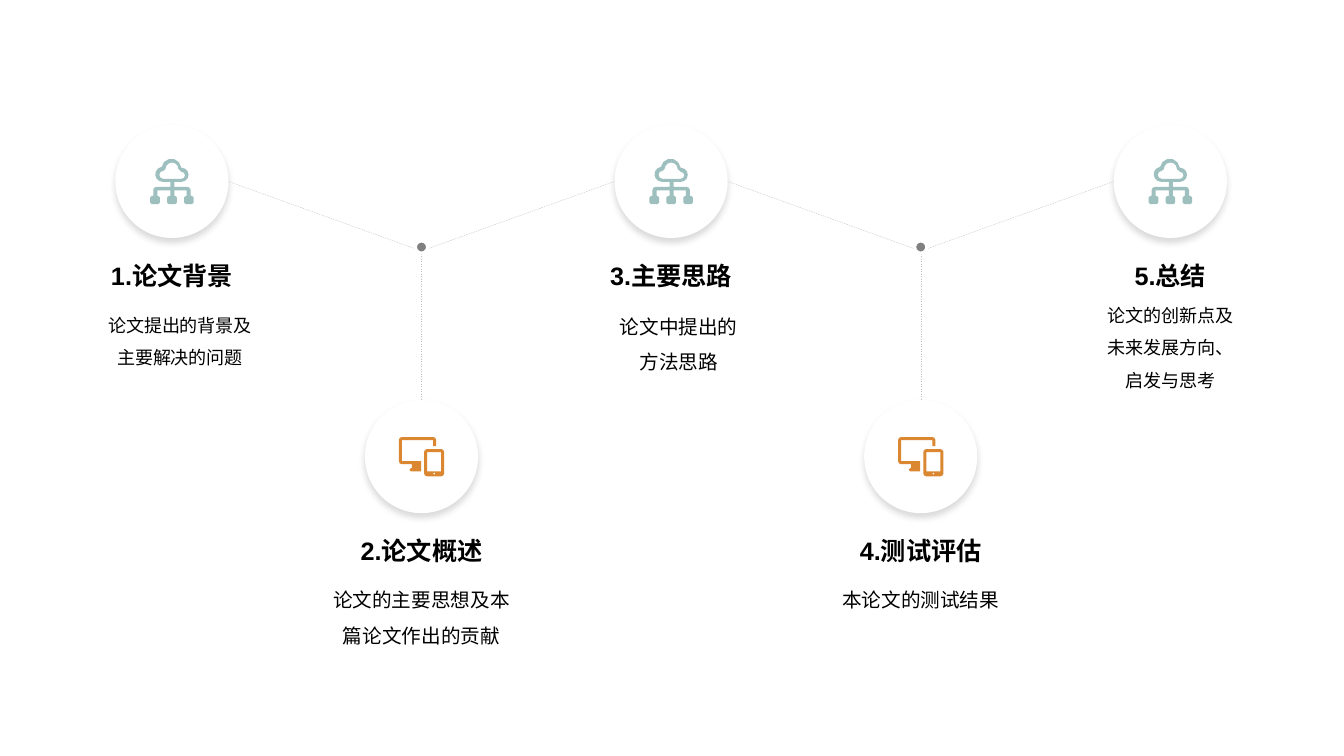
from dataclasses import dataclass
from math import cos, radians, sin

from lxml import etree
from pptx import Presentation
from pptx.dml.color import RGBColor
from pptx.enum.dml import MSO_LINE
from pptx.enum.shapes import MSO_CONNECTOR, MSO_SHAPE
from pptx.enum.text import MSO_ANCHOR, PP_ALIGN
from pptx.oxml.ns import qn
from pptx.util import Pt

Point = tuple[float, float]
Contour = list[Point]

STRAIGHT = MSO_CONNECTOR.STRAIGHT
OVAL = MSO_SHAPE.OVAL
JOINT_DOT = MSO_SHAPE.FLOWCHART_CONNECTOR
DASH = MSO_LINE.DASH
CENTER = PP_ALIGN.CENTER
TOP, BOTTOM = MSO_ANCHOR.TOP, MSO_ANCHOR.BOTTOM

COLORS = {
    "white": "FFFFFF",
    "text": "000000",
    "cloud": "9DBFBE",
    "screens": "DB8631",
    "line": "BFBFBF",
    "dot": "808080",
}
FONT = "Arial"

# Lengths in points
FIRST_X, STEP_X = 122.8, 178.3
UPPER_Y, LOWER_Y = 129.6, 326.2
RADIUS = 40.4
JOINT_Y, DOT_Y, DOT_SIZE = 179.3, 176.5, 8.8
TITLE_WIDTH, TITLE_HEIGHT, TITLE_DROP = 142, 30, 51.4
ICON_UNIT = 0.72


@dataclass(frozen=True)
class Step:
    title: str
    body: list[str]
    body_size: float = 14
    body_width: float = 142
    body_shift: float = 0
    body_drop: float = 82


STEPS = [
    Step("1.论文背景", ["论文提出的背景及", "主要解决的问题"], 12.9, 121, 5.8, 83.5),
    Step("2.论文概述", ["论文的主要思想及本篇论文作出的贡献"]),
    Step("3.主要思路", ["论文中提出的方法思路"], 14, 111.6, 5.4, 83.5),
    Step("4.测试评估", ["本论文的测试结果"]),
    Step("5.总结", ["论文的创新点及未来发展方向、启发与思考"], 12.9, 111.6, 0, 76.3),
]


@dataclass(frozen=True)
class Icon:
    """Contours in icon units, with the size of their bounding box."""
    color: str
    width: float
    height: float
    contours: list[Contour]


def arc(x: float, y: float, radius: float, start: float, end: float) -> Contour:
    """Points from start to end, in degrees clockwise from the right."""
    pitch = 30 if radius > 4 else 45 if radius > 2 else 90
    count = max(1, round(abs(end - start) / pitch))
    angles = [radians(start + (end - start) * i / count) for i in range(count + 1)]
    return [(x + radius * cos(a), y + radius * sin(a)) for a in angles]


def rounded_box(left: float, top: float, right: float, bottom: float, radius: float) -> Contour:
    corners = [
        (right - radius, top + radius, -90),
        (right - radius, bottom - radius, 0),
        (left + radius, bottom - radius, 90),
        (left + radius, top + radius, 180),
    ]
    return [point for x, y, start in corners for point in arc(x, y, radius, start, start + 90)]


CLOUD_AND_TREE = (
    arc(31, 16, 7, 90, -90)
    + arc(21, 9.7, 9.7, -8, -170)
    + arc(12.5, 15.5, 7.5, 260, 90)
    + [(20, 23), (20, 28)]
    + arc(6, 31, 3, 270, 180)
    + [(3, 37), (7, 37), (7, 31.5), (20, 31.5), (20, 37), (24, 37), (24, 31.5),
       (36, 31.5), (36, 37), (40, 37)]
    + arc(37, 31, 3, 0, -90)
    + [(24, 28), (24, 23)]
)
CLOUD_HOLE = arc(13, 16, 4, 90, 270) + arc(21.5, 10.3, 6.5, 180, 360) + arc(31, 16.5, 3.5, -90, 90)
NODES = [rounded_box(x, 37, x + 9.5, 45, 1.5) for x in (0, 16.8, 33.6)]
MONITOR = (
    [(37, 9), (34, 9), (34, 3), (3, 3), (3, 24), (22, 24), (22, 34)]
    + arc(12, 32.5, 1.5, 90, 270)
    + [(13, 31), (13, 27)]
    + arc(3, 24, 3, 90, 180)
    + arc(3, 3, 3, 180, 270)
    + arc(34, 3, 3, -90, 0)
)
TABLET_GLASS = [(28, 15), (42, 15), (42, 34), (28, 34)]
CLOUD_ICON = Icon("cloud", 43, 45, [CLOUD_AND_TREE, CLOUD_HOLE, *NODES])
SCREENS_ICON = Icon("screens", 45, 39, [
    MONITOR,
    rounded_box(25, 12, 45, 39, 3),
    TABLET_GLASS,
    arc(35, 36.3, 1.2, 0, 270),
])


def rgb(name: str) -> RGBColor:
    return RGBColor.from_string(COLORS[name])


def add_line(slide, start: Point, end: Point) -> None:
    line = slide.shapes.add_connector(STRAIGHT, *(Pt(value) for value in start + end))
    line.line.color.rgb = rgb("line")
    line.line.width = Pt(0.25)
    line.line.dash_style = DASH
    properties = line._element.find(qn("p:spPr"))
    etree.SubElement(properties, qn("a:effectLst"))


def add_disc(slide, kind, x: float, y: float, size: float, color: str):
    disc = slide.shapes.add_shape(kind, Pt(x - size / 2), Pt(y - size / 2), Pt(size), Pt(size))
    disc.shadow.inherit = False
    disc.fill.solid()
    disc.fill.fore_color.rgb = rgb(color)
    disc.line.fill.background()
    return disc


def add_soft_shadow(shape) -> None:
    effects = shape._element.spPr.find(qn("a:effectLst"))
    shadow = etree.SubElement(effects, qn("a:outerShdw"), blurRad=str(Pt(5)), dist=str(Pt(3)),
                              dir="5400000", algn="t", rotWithShape="0")
    color = etree.SubElement(shadow, qn("a:srgbClr"), val=COLORS["text"])
    etree.SubElement(color, qn("a:alpha"), val="15000")


def add_icon(slide, icon: Icon, x: float, y: float) -> None:
    left, top = x - icon.width * ICON_UNIT / 2, y - icon.height * ICON_UNIT / 2
    contours = [[(Pt(left + px * ICON_UNIT), Pt(top + py * ICON_UNIT)) for px, py in contour]
                for contour in icon.contours]
    builder = slide.shapes.build_freeform(*contours[0][0])
    for index, contour in enumerate(contours):
        if index:
            builder.move_to(*contour[0])
        builder.add_line_segments(contour[1:], close=True)
    shape = builder.convert_to_shape()
    shape.shadow.inherit = False
    shape.fill.solid()
    shape.fill.fore_color.rgb = rgb(icon.color)
    shape.line.fill.background()


def add_text(slide, lines: list[str], x: float, top: float, width: float, height: float,
             size: float, spacing: float = 1.0, bold: bool = False, anchor=TOP) -> None:
    """Add a text box centred on x."""
    box = slide.shapes.add_textbox(Pt(x - width / 2), Pt(top), Pt(width), Pt(height))
    frame = box.text_frame
    frame.word_wrap = True
    frame.vertical_anchor = anchor
    frame.text = "\n".join(lines)
    for paragraph in frame.paragraphs:
        paragraph.alignment = CENTER
        paragraph.line_spacing = spacing
        paragraph.font.name = FONT
        paragraph.font.size = Pt(size)
        paragraph.font.bold = bold
        paragraph.font.color.rgb = rgb("text")


def add_step(slide, step: Step, x: float, y: float, icon: Icon) -> None:
    circle = add_disc(slide, OVAL, x, y, 2 * RADIUS, "white")
    add_soft_shadow(circle)
    add_icon(slide, icon, x, y)
    add_text(slide, step.body, x + step.body_shift, y + step.body_drop, step.body_width, 75,
             step.body_size, spacing=1.5)
    add_text(slide, [step.title], x, y + TITLE_DROP, TITLE_WIDTH, TITLE_HEIGHT, 18,
             bold=True, anchor=BOTTOM)


def add_joint(slide, x: float) -> None:
    """Link a lower step to both of its upper neighbours."""
    reach = STEP_X - RADIUS
    for end in ((x - reach, UPPER_Y), (x + reach, UPPER_Y), (x, LOWER_Y - RADIUS)):
        add_line(slide, (x, JOINT_Y), end)
    dot = add_disc(slide, JOINT_DOT, x, DOT_Y, DOT_SIZE, "dot")
    dot.line.color.rgb = rgb("white")
    dot.line.width = Pt(2.25)


def main() -> None:
    presentation = Presentation()
    presentation.slide_width, presentation.slide_height = Pt(960), Pt(540)
    slide = presentation.slides.add_slide(presentation.slide_layouts[6])
    centers = [FIRST_X + STEP_X * index for index in range(len(STEPS))]
    for index, (step, x) in enumerate(zip(STEPS, centers)):
        y, icon = (LOWER_Y, SCREENS_ICON) if index % 2 else (UPPER_Y, CLOUD_ICON)
        add_step(slide, step, x, y, icon)
    for x in centers[1::2]:
        add_joint(slide, x)
    presentation.save("out.pptx")


if __name__ == "__main__":
    main()
